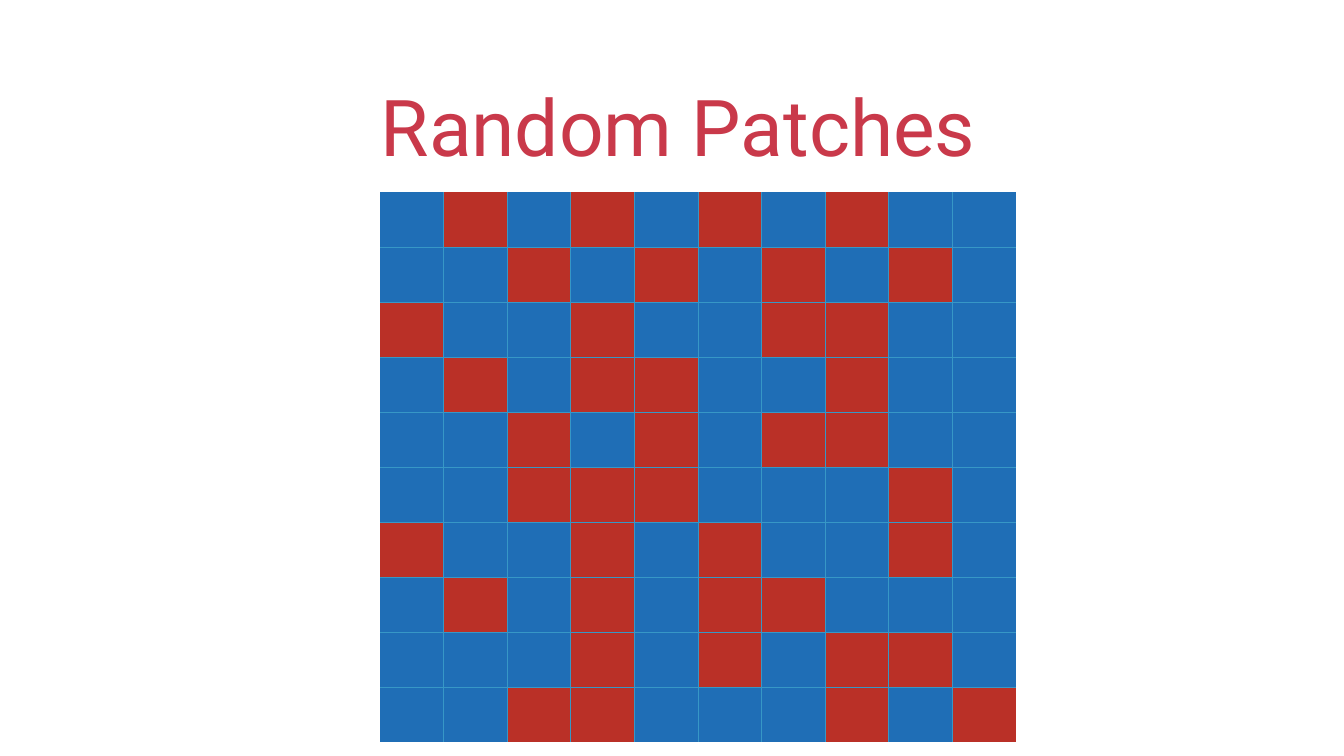
from pptx import Presentation
from pptx.dml.color import RGBColor
from pptx.enum.text import MSO_ANCHOR as Anchor, PP_ALIGN as Align
from pptx.oxml.ns import qn
from pptx.util import Pt
from lxml.etree import SubElement

BLUE, RED, GRID, TITLE = "1F6EB6", "BA3027", "3797C6", "C9394A"
COLUMN_WIDTH, ROW_HEIGHT = 90.8, 78.62

# One string per row: R is a red patch, a dot a blue one
PATCHES = [
    ".R.R.R.R..",
    "..R.R.R.R.",
    "R..R..RR..",
    ".R.RR..R..",
    "..R.R.RR..",
    "..RRR...R.",
    "R..R.R..R.",
    ".R.R.RR...",
    "...R.R.RR.",
    "..RR...R.R",
]


def color(value):
    return RGBColor.from_string(value)


def write(frame, text, size=18, font="Roboto", fill="000000", align=Align.LEFT, indent=0):
    paragraph = frame.paragraphs[0]
    paragraph.alignment = align
    paragraph._p.get_or_add_pPr().set("indent", str(Pt(indent)))
    run = paragraph.add_run()
    run.text = text
    run.font.size = Pt(size)
    run.font.name = font
    run.font.color.rgb = color(fill)


def set_border(cell, side, line_color, width=1):
    line = SubElement(cell._tc.get_or_add_tcPr(), qn(f"a:ln{side}"), w=str(Pt(width)))
    if line_color:
        solid = SubElement(line, qn("a:solidFill"))
        SubElement(solid, qn("a:srgbClr"), val=line_color)
    else:
        SubElement(line, qn("a:noFill"))


class PatchSlide:
    def __init__(self, slide):
        self.slide = slide
        self.patch_fills = {"R": RED, ".": BLUE}

    def title(self, text, left, top, width, height):
        shape = self.slide.shapes.add_textbox(Pt(left), Pt(top), Pt(width), Pt(height))
        frame = shape.text_frame
        frame.word_wrap = True
        frame.vertical_anchor = Anchor.BOTTOM
        frame.margin_left = frame.margin_right = Pt(4.5)
        frame.margin_top = frame.margin_bottom = Pt(4.5)
        write(frame, text, size=112, fill=TITLE, align=Align.CENTER, indent=18)

    def patch_table(self, pattern, left, top):
        row_count, column_count = len(pattern), len(pattern[0])
        table = self.slide.shapes.add_table(
            row_count, column_count, Pt(left), Pt(top),
            Pt(column_count * COLUMN_WIDTH), Pt(row_count * ROW_HEIGHT)).table
        table.first_row = table.horz_banding = False
        for column in table.columns:
            column.width = Pt(COLUMN_WIDTH)
        for row in table.rows:
            row.height = Pt(ROW_HEIGHT)

        for r, line in enumerate(pattern):
            for c, patch in enumerate(line):
                cell = table.cell(r, c)
                # Only the inner edges carry a line
                inner = {"L": c > 0, "R": c < column_count - 1,
                         "T": r > 0, "B": r < row_count - 1}
                for side, is_inner in inner.items():
                    set_border(cell, side, GRID if is_inner else None)
                cell.fill.solid()
                cell.fill.fore_color.rgb = color(self.patch_fills[patch])


def main():
    presentation = Presentation()
    presentation.slide_width, presentation.slide_height = Pt(1920), Pt(1080)
    page = PatchSlide(presentation.slides.add_slide(presentation.slide_layouts[6]))

    # Heading
    page.title("Random Patches", 139.7, 91.4, 1640.2, 159.8)

    # Grid of patches
    page.patch_table(PATCHES, 542.9, 274.3)

    presentation.save("out.pptx")


if __name__ == "__main__":
    main()
